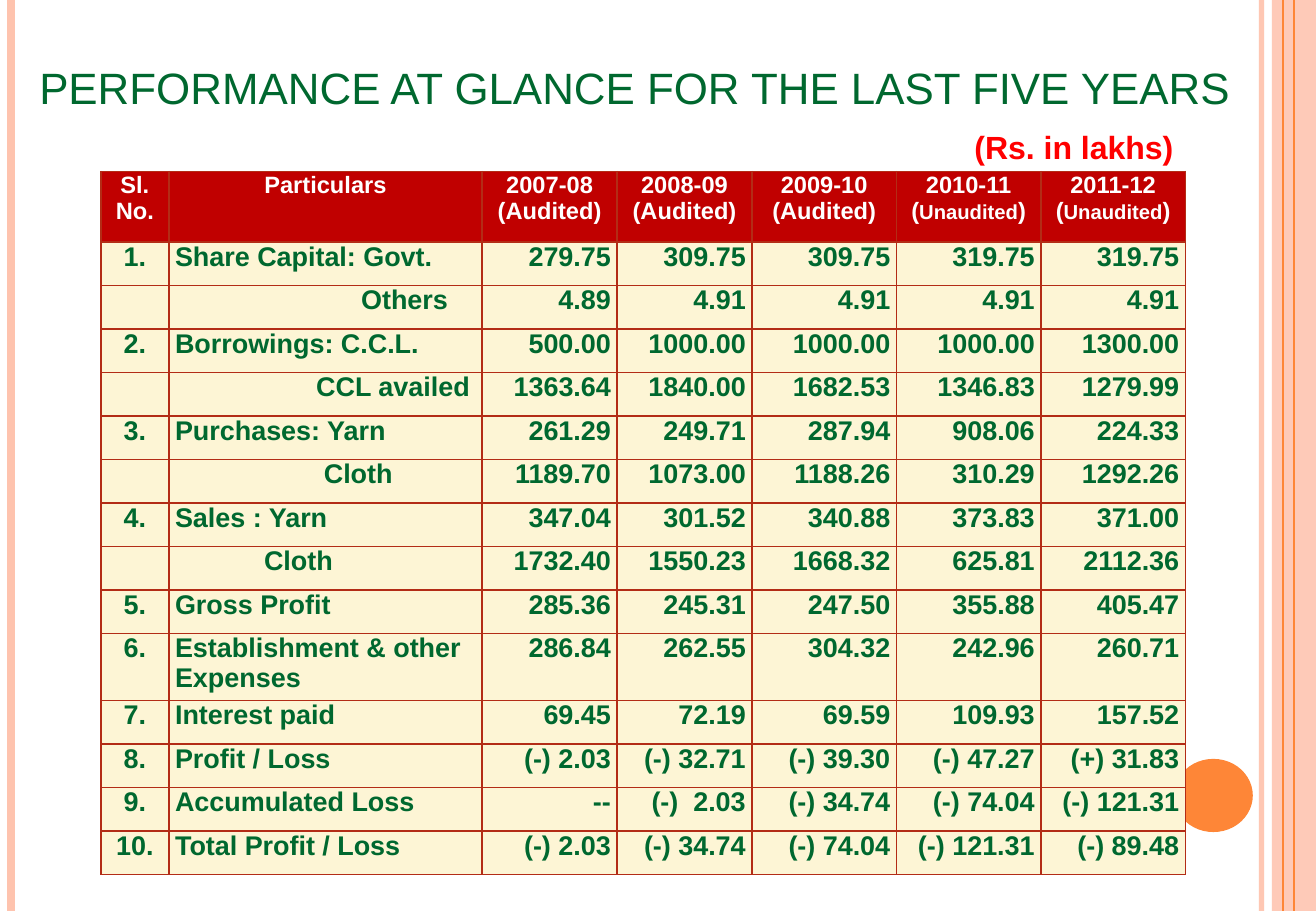
from lxml.etree import SubElement
from pptx import Presentation
from pptx.dml.color import RGBColor
from pptx.enum.shapes import MSO_CONNECTOR as Connector, MSO_SHAPE as Shape
from pptx.enum.text import MSO_ANCHOR as Anchor, MSO_AUTO_SIZE as AutoSize, PP_ALIGN as Align
from pptx.oxml import parse_xml
from pptx.oxml.ns import nsdecls, qn
from pptx.util import Cm, Pt

GREEN = RGBColor(0x00, 0x68, 0x2F)
RED = RGBColor(0xFF, 0x00, 0x00)
WHITE = RGBColor(0xFF, 0xFF, 0xFF)
DARK_RED = RGBColor(0xC0, 0x00, 0x00)
CREAM = RGBColor(0xFD, 0xF5, 0xD5)
BORDER = RGBColor(0xB3, 0x2C, 0x16)
PEACH = RGBColor(0xFE, 0xC3, 0xAE)
ORANGE = RGBColor(0xFE, 0x86, 0x37)


def write(para, text, size=16, color=GREEN, bold=True, align=Align.LEFT):
    para.alignment = align
    span = para.add_run()
    span.text = text
    span.font.name = "Arial"
    span.font.size = Pt(size)
    span.font.bold = bold
    span.font.color.rgb = color


def set_opacity(fill_owner, percent):
    color = next(fill_owner.iter(qn("a:srgbClr")))
    SubElement(color, qn("a:alpha")).set("val", str(percent * 1000))


deck = Presentation()
deck.slide_width = Cm(27.51)
deck.slide_height = Cm(19.05)
page = deck.slides.add_slide(deck.slide_layouts[5])

band = page.shapes.add_shape(Shape.RECTANGLE, Cm(26.59), 0, Cm(0.92), Cm(19.05))
circle = page.shapes.add_shape(Shape.OVAL, Cm(24.54), Cm(15.87), Cm(1.65), Cm(1.53))
for shape, color in ((band, PEACH), (circle, ORANGE)):
    shape.shadow.inherit = False
    shape.fill.solid()
    shape.fill.fore_color.rgb = color
    shape.line.fill.background()
set_opacity(band.fill._xPr, 87)

STRIPES = [
    (26.37, PEACH, 3, 93),
    (0.23, PEACH, 4.5, 100),
    (27.05, ORANGE, 1.5, 100),
    (26.82, ORANGE, 0.75, 100),
]
for x, color, width, opacity in STRIPES:
    stripe = page.shapes.add_connector(Connector.STRAIGHT, Cm(x), 0, Cm(x), Cm(19.05))
    stripe.line.color.rgb = color
    stripe.line.width = Pt(width)
    properties = stripe._element.spPr
    if opacity < 100:
        set_opacity(properties, opacity)
    SubElement(properties, qn("a:effectLst"))

title = page.shapes.title
title.left, title.top, title.width, title.height = Cm(0), Cm(0.64), Cm(26.57), Cm(2.34)
title.text_frame.vertical_anchor = Anchor.MIDDLE
write(title.text_frame.paragraphs[0], "PERFORMANCE AT GLANCE FOR THE LAST FIVE YEARS",
      size=26, bold=False, align=Align.CENTER)

HEADERS = ["Sl.\nNo.", "Particulars", "2007-08\n(Audited)", "2008-09\n(Audited)",
           "2009-10\n(Audited)", "2010-11\n(Unaudited)", "2011-12\n(Unaudited)"]
ROWS = [
    ["1.", "Share Capital: Govt.", "279.75", "309.75", "309.75", "319.75", "319.75"],
    ["", "Others", "4.89", "4.91", "4.91", "4.91", "4.91"],
    ["2.", "Borrowings: C.C.L.", "500.00", "1000.00", "1000.00", "1000.00", "1300.00"],
    ["", "CCL availed", "1363.64", "1840.00", "1682.53", "1346.83", "1279.99"],
    ["3.", "Purchases: Yarn", "261.29", "249.71", "287.94", "908.06", "224.33"],
    ["", "Cloth", "1189.70", "1073.00", "1188.26", "310.29", "1292.26"],
    ["4.", "Sales : Yarn", "347.04", "301.52", "340.88", "373.83", "371.00"],
    ["", "Cloth", "1732.40", "1550.23", "1668.32", "625.81", "2112.36"],
    ["5.", "Gross Profit", "285.36", "245.31", "247.50", "355.88", "405.47"],
    ["6.", "Establishment & other Expenses", "286.84", "262.55", "304.32", "242.96", "260.71"],
    ["7.", "Interest paid", "69.45", "72.19", "69.59", "109.93", "157.52"],
    ["8.", "Profit / Loss", "(-) 2.03", "(-) 32.71", "(-) 39.30", "(-) 47.27", "(+) 31.83"],
    ["9.", "Accumulated Loss", "--", "(-)  2.03", "(-) 34.74", "(-) 74.04", "(-) 121.31"],
    ["10.", "Total Profit / Loss", "(-) 2.03", "(-) 34.74", "(-) 74.04", "(-) 121.31", "(-) 89.48"],
]
INDENTS = {2: 3.89, 4: 2.95, 6: 3.11, 8: 1.86}
WIDTHS = [1.42, 6.55, 2.82, 2.82, 3.02, 3.02, 3.02]
HEIGHTS = {0: 1.47, 10: 1.4}
ALIGNS = [Align.CENTER, Align.LEFT] + [Align.RIGHT] * 5

table = page.shapes.add_table(len(ROWS) + 1, len(HEADERS), Cm(2.11), Cm(3.59),
                              Cm(sum(WIDTHS)), Cm(14.73)).table
for column, width in zip(table.columns, WIDTHS):
    column.width = Cm(width)
for index, row in enumerate(table.rows):
    row.height = Cm(HEIGHTS.get(index, 0.91))

for r, values in enumerate([HEADERS] + ROWS):
    for c, text in enumerate(values):
        cell = table.cell(r, c)
        cell.margin_left = cell.margin_right = Cm(0.13)
        cell.margin_top = cell.margin_bottom = 0
        for side in ("lnL", "lnR", "lnT", "lnB"):
            cell._tc.get_or_add_tcPr().append(parse_xml(
                f'<a:{side} {nsdecls("a")} w="{Pt(1)}"><a:solidFill>'
                f'<a:srgbClr val="{BORDER}"/></a:solidFill></a:{side}>'))
        cell.fill.solid()
        cell.fill.fore_color.rgb = CREAM if r else DARK_RED
        para = cell.text_frame.paragraphs[0]
        if r and text:
            write(para, text, align=ALIGNS[c])
            if c == 1 and r in INDENTS:
                para._p.get_or_add_pPr().set("marL", str(Cm(INDENTS[r])))
        elif text:
            for number, line in enumerate(text.split("\n")):
                if number:
                    para = cell.text_frame.add_paragraph()
                for piece in filter(None, line.partition("Unaudited")):
                    write(para, piece, size=12 if piece == "Unaudited" else 14,
                          color=WHITE, align=Align.CENTER)

unit_box = page.shapes.add_textbox(Cm(20.12), Cm(2.54), Cm(4.72), Cm(1.07))
unit_box.text_frame.word_wrap = False
unit_box.text_frame.auto_size = AutoSize.SHAPE_TO_FIT_TEXT
write(unit_box.text_frame.paragraphs[0], "(Rs. in lakhs)", size=19, color=RED)

deck.save("out.pptx")
